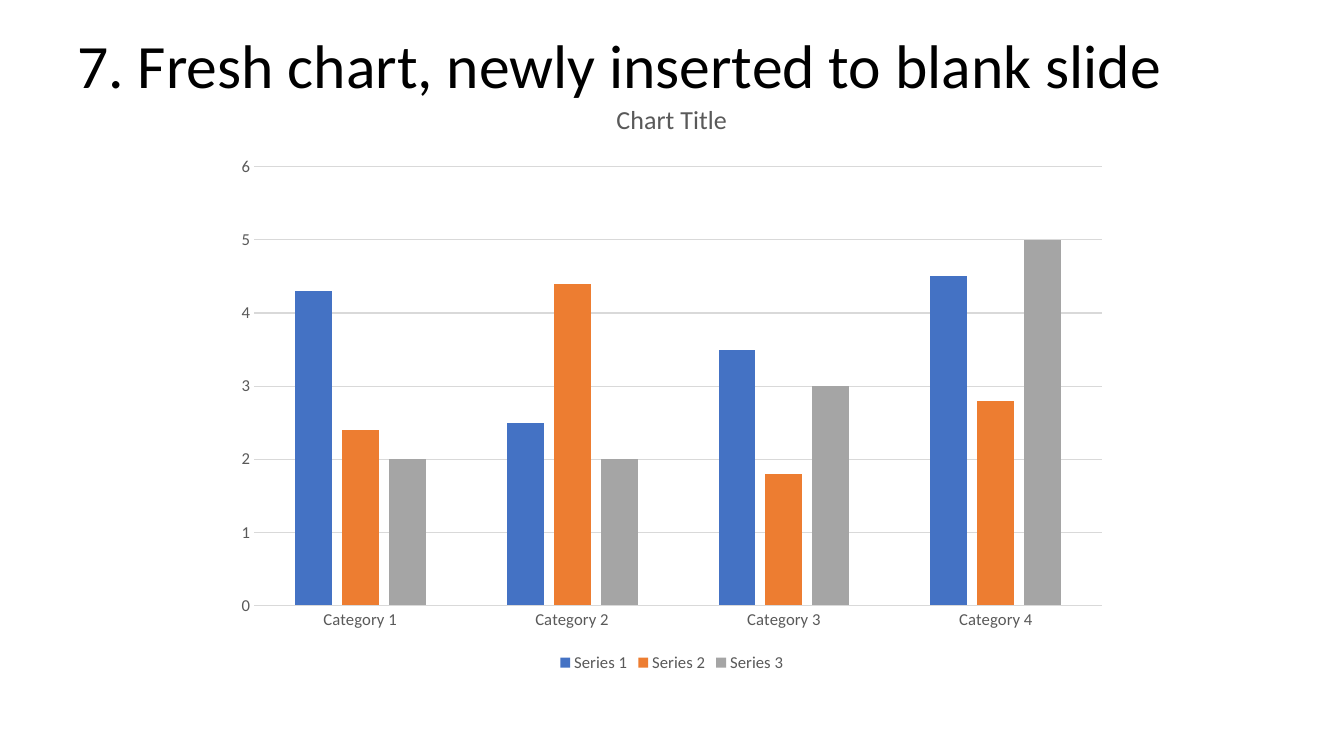
from pptx import Presentation
from pptx.chart.data import CategoryChartData
from pptx.dml.color import RGBColor
from pptx.enum.chart import XL_CHART_TYPE, XL_LEGEND_POSITION, XL_TICK_MARK
from pptx.enum.text import MSO_ANCHOR
from pptx.util import Cm, Pt

COLUMNS = XL_CHART_TYPE.COLUMN_CLUSTERED
BOTTOM = XL_LEGEND_POSITION.BOTTOM
NO_TICK = XL_TICK_MARK.NONE
TOP = MSO_ANCHOR.TOP

FONT = "Calibri"
GREY = "595959"
RULE = "D9D9D9"
CATEGORIES = ["Category 1", "Category 2", "Category 3", "Category 4"]
SERIES = [
    ("Series 1", (4.3, 2.5, 3.5, 4.5), "4472C4"),
    ("Series 2", (2.4, 4.4, 1.8, 2.8), "ED7D31"),
    ("Series 3", (2, 2, 3, 5), "A5A5A5"),
]


def rgb(value):
    """Return the colour for a hex string."""
    return RGBColor.from_string(value)


def set_font(font, size, color):
    """Set typeface, size, weight and colour of a font."""
    font.name = FONT
    font.size = Pt(size)
    font.bold = False
    font.color.rgb = rgb(color)


def set_line(line, color, width=0.75):
    """Set colour and width of a line."""
    line.color.rgb = rgb(color)
    line.width = Pt(width)


def write(tf, text, size=18, color="000000", spacing=None):
    """Write one formatted paragraph into a text frame."""
    p = tf.paragraphs[0]
    p.line_spacing = spacing
    r = p.add_run()
    r.text = text
    set_font(r.font, size, color)


def add_title(slide, text):
    """Add the slide title."""
    sp = slide.shapes.add_textbox(Cm(1.7), Cm(0.76), Cm(30.48), Cm(1.19))
    tf = sp.text_frame
    tf.word_wrap = True
    tf.vertical_anchor = TOP
    write(tf, text, size=44, spacing=0.9)


def style_axis(axis):
    """Set the labels and remove the tick marks of an axis."""
    axis.major_tick_mark = NO_TICK
    axis.minor_tick_mark = NO_TICK
    set_font(axis.tick_labels.font, 11.9, GREY)


def add_column_chart(slide, title):
    """Add the clustered column chart with its title and legend."""
    data = CategoryChartData()
    data.categories = CATEGORIES
    for name, values, _ in SERIES:
        data.add_series(name, values)
    chart = slide.shapes.add_chart(
        COLUMNS, Cm(5.64), Cm(2), Cm(22.58), Cm(15.05), data).chart
    set_font(chart.font, 10, "000000")
    write(chart.chart_title.text_frame, title, size=18.6, color=GREY)
    chart.chart_title.include_in_layout = False

    chart.has_legend = True
    chart.legend.position = BOTTOM
    chart.legend.include_in_layout = False
    set_font(chart.legend.font, 11.9, GREY)

    style_axis(chart.category_axis)
    set_line(chart.category_axis.format.line, RULE)
    axis = chart.value_axis
    style_axis(axis)
    axis.minimum_scale, axis.maximum_scale, axis.major_unit = 0, 6, 1
    axis.format.line.fill.background()
    set_line(axis.major_gridlines.format.line, RULE)

    plot = chart.plots[0]
    plot.gap_width = 219
    plot.overlap = -27
    plot.vary_by_categories = False
    for series, (_, _, color) in zip(plot.series, SERIES):
        series.format.fill.solid()
        series.format.fill.fore_color.rgb = rgb(color)


def main():
    """Build the slide and save it."""
    prs = Presentation()
    prs.slide_width, prs.slide_height = Cm(33.87), Cm(19.05)
    slide = prs.slides.add_slide(prs.slide_layouts[6])
    add_column_chart(slide, "Chart Title")
    add_title(slide, "7. Fresh chart, newly inserted to blank slide")
    prs.save("out.pptx")


if __name__ == "__main__":
    main()
